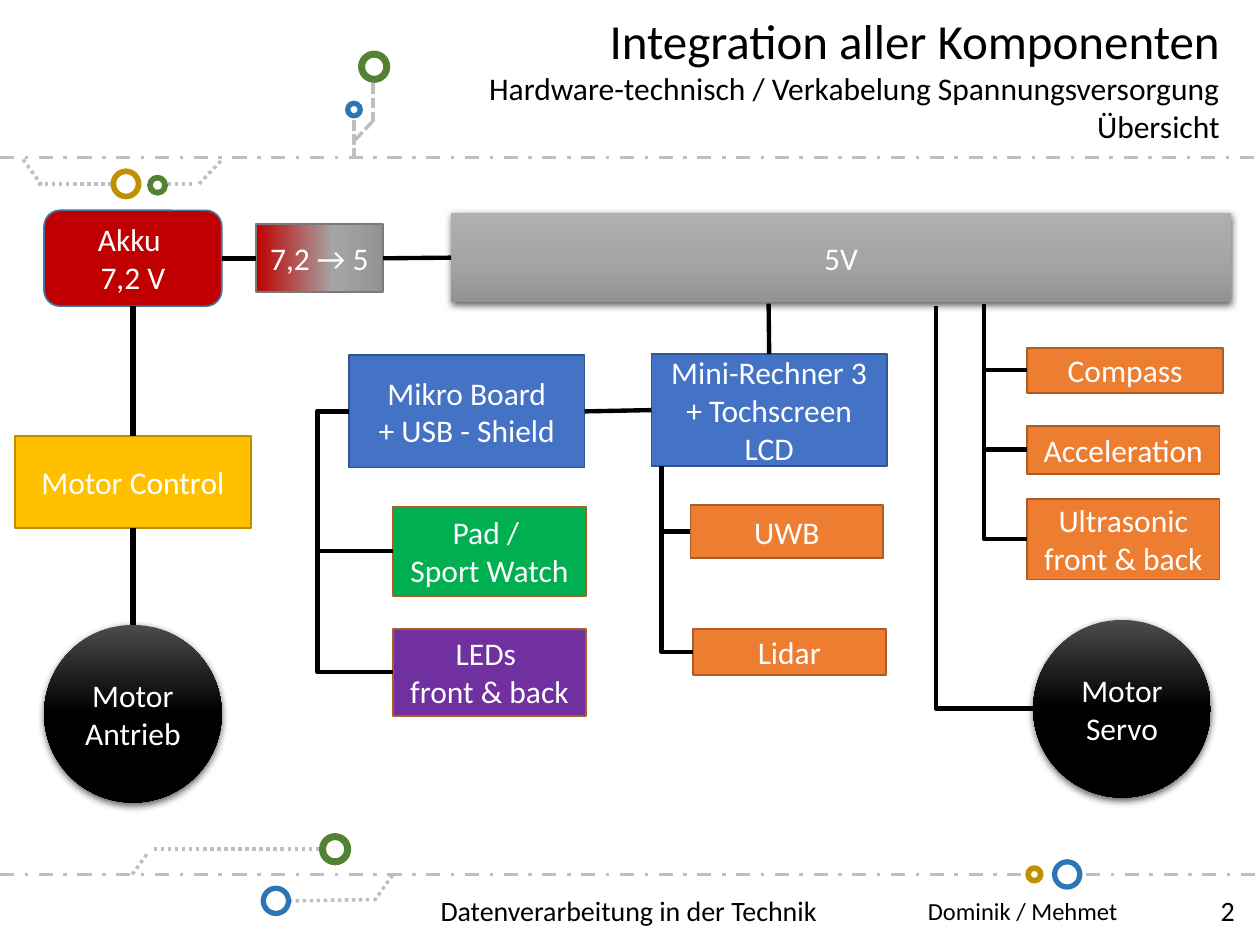
from typing import NamedTuple

from pptx import Presentation
from pptx.dml.color import RGBColor
from pptx.enum.dml import MSO_LINE
from pptx.enum.shapes import MSO_CONNECTOR, MSO_SHAPE
from pptx.enum.text import MSO_ANCHOR, MSO_AUTO_SIZE, PP_ALIGN
from pptx.oxml.ns import qn
from pptx.util import Inches, Pt
from lxml import etree

RECT, ROUND, OVAL = MSO_SHAPE.RECTANGLE, MSO_SHAPE.ROUNDED_RECTANGLE, MSO_SHAPE.OVAL
STRAIGHT, ELBOW = MSO_CONNECTOR.STRAIGHT, MSO_CONNECTOR.ELBOW
DASHDOT, DOT, DASH = MSO_LINE.DASH_DOT, MSO_LINE.ROUND_DOT, MSO_LINE.SQUARE_DOT
LEFT, CENTER, RIGHT = PP_ALIGN.LEFT, PP_ALIGN.CENTER, PP_ALIGN.RIGHT
MIDDLE = MSO_ANCHOR.MIDDLE
TOP_SIDE, LEFT_SIDE, BOTTOM_SIDE, RIGHT_SIDE = range(4)

FONT = "Calibri"
HEX = {
    "black": "000000", "white": "FFFFFF", "trace": "BFBFBF",
    "ring blue": "2E75B6", "ring gold": "BF9000", "ring green": "548235",
    "blue": "4472C4", "blue edge": "325491",
    "gold": "FFC000", "gold edge": "BD8E00",
    "orange": "ED7D31", "orange edge": "AF5C24",
    "purple": "7030A0", "green": "00B050",
    "red": "C00000", "red edge": "43739E",
    "gray": "A5A5A5", "light gray": "AFAFAF", "dark gray": "939393",
    "gray edge": "7A7A7A", "coal": "4B4B4B",
}
# Gradient stops (percent, colour) and angle, counter-clockwise
GRADS = {
    "rail": ([(0, "light gray"), (50, "gray"), (100, "dark gray")], 270),
    "motor": ([(0, "coal"), (50, "black"), (100, "black")], 270),
    "step": ([(0, "red"), (61, "gray"), (100, "dark gray")], 0),
}


class Box(NamedTuple):
    x: float
    y: float
    w: float
    h: float
    lines: list[str]
    fill: str
    edge: str = ""  # a box without an edge casts a shadow
    form: int = RECT


class Trace(NamedTuple):
    x1: float
    y1: float
    x2: float
    y2: float
    dash: int = DOT


class Ring(NamedTuple):
    x: float
    y: float
    size: float
    color: str
    width: float


TRACES = [
    Trace(0, 1.25, 10, 1.25, DASHDOT), Trace(0, 6.94, 8.16, 6.94, DASHDOT),
    Trace(8.62, 6.94, 9.98, 6.94, DASHDOT),
    Trace(1.22, 6.74, 2.57, 6.74), Trace(1.05, 6.94, 1.18, 6.76),
    Trace(2.97, 7.15, 3.12, 6.94), Trace(2.29, 7.15, 2.93, 7.14),
    Trace(1.58, 1.46, 1.77, 1.26), Trace(1.33, 1.46, 1.55, 1.46),
    Trace(0.3, 1.46, 0.91, 1.46), Trace(0.33, 1.47, 0.18, 1.26),
    Trace(2.81, 1.26, 2.81, 0.9, DASH), Trace(2.82, 1.11, 2.96, 0.96, DASH),
    Trace(2.96, 0.97, 2.96, 0.64, DASH),
]
RINGS = [
    Ring(8.37, 6.84, 0.2, "ring blue", 3), Ring(8.16, 6.89, 0.1, "ring gold", 3.25),
    Ring(2.56, 6.64, 0.2, "ring green", 4), Ring(2.09, 7.05, 0.2, "ring blue", 3),
    Ring(1.19, 1.41, 0.12, "ring green", 3.25), Ring(0.9, 1.36, 0.2, "ring gold", 3.25),
    Ring(2.76, 0.82, 0.1, "ring blue", 3), Ring(2.87, 0.43, 0.2, "ring green", 4),
]
BOXES = {
    "host": Box(5.17, 2.81, 1.87, 0.89, ["Mini-Rechner 3", "+ Tochscreen LCD"], "blue", "blue edge"),
    "board": Box(2.77, 2.82, 1.87, 0.89, ["Mikro Board", "+ USB - Shield"], "blue", "blue edge"),
    "control": Box(0.12, 3.46, 1.87, 0.73, ["Motor Control"], "gold", "gold edge"),
    "compass": Box(8.15, 2.76, 1.56, 0.36, ["Compass"], "orange", "orange edge"),
    "sonic": Box(8.15, 3.96, 1.53, 0.64, ["Ultrasonic front & back"], "orange", "orange edge"),
    "uwb": Box(5.48, 4.01, 1.53, 0.42, ["UWB"], "orange", "orange edge"),
    "leds": Box(3.12, 4.99, 1.53, 0.69, ["LEDs ", "front & back"], "purple", "orange edge"),
    "pad": Box(3.12, 4.02, 1.53, 0.71, ["Pad / ", "Sport Watch"], "green", "orange edge"),
    "lidar": Box(5.5, 4.99, 1.53, 0.37, ["Lidar"], "orange", "orange edge"),
    "rail": Box(3.58, 1.69, 6.19, 0.71, ["5V"], "rail"),
    "drive": Box(0.35, 4.96, 1.41, 1.41, ["Motor Antrieb"], "motor", form=OVAL),
    "servo": Box(8.2, 4.92, 1.41, 1.41, ["Motor Servo"], "motor", form=OVAL),
    "accel": Box(8.15, 3.38, 1.53, 0.38, ["Acceleration"], "orange", "orange edge"),
    "akku": Box(0.35, 1.67, 1.41, 0.76, ["Akku ", "7,2 V"], "red", "red edge", ROUND),
    "step": Box(2.03, 1.78, 1.01, 0.54, ["7,2 → 5"], "step", "gray edge"),
}
# Boxes hung on a trunk: trunk x, its upper end, names
TRUNKS = [
    (5.25, 3.7, ["uwb", "lidar"]),
    (7.81, 2.41, ["compass", "accel", "sonic"]),
    (7.43, 2.43, ["servo"]),
]
# Straight wires: box, side, box, side, width
WIRES = [
    ("drive", TOP_SIDE, "control", BOTTOM_SIDE, 3),
    ("control", TOP_SIDE, "akku", BOTTOM_SIDE, 3),
    ("step", LEFT_SIDE, "akku", RIGHT_SIDE, 3),
    ("step", RIGHT_SIDE, "rail", LEFT_SIDE, 2.5),
    ("host", LEFT_SIDE, "board", RIGHT_SIDE, 2.5),
]
FOOTERS = [(8.87, "Dominik / Mehmet", 14, RIGHT), (9.8, "2", 16, RIGHT),
           (9.98, "Datenverarbeitung in der Technik", 16, CENTER)]


def rgb(name: str) -> RGBColor:
    return RGBColor.from_string(HEX[name])


def write(frame, lines: list[tuple[str, float]], align: int, color: str) -> None:
    frame.word_wrap = True
    frame.auto_size = MSO_AUTO_SIZE.NONE
    frame.vertical_anchor = MIDDLE
    for i, (text, size) in enumerate(lines):
        para = frame.add_paragraph() if i else frame.paragraphs[0]
        para.alignment = align
        run = para.add_run()
        run.text = text
        run.font.name, run.font.size = FONT, Pt(size)
        run.font.color.rgb = rgb(color)


def clear_insets(frame) -> None:
    frame.margin_left = frame.margin_right = frame.margin_top = frame.margin_bottom = 0


def tint(parent, color: str):
    return etree.SubElement(parent, qn("a:srgbClr"), val=HEX[color])


def blend(shape, stops: list[tuple[int, str]], angle: int) -> None:
    """Fill with a linear gradient of any number of stops."""
    shape.fill.gradient()
    shape.fill.gradient_angle = angle
    group = shape._element.spPr.find(".//" + qn("a:gsLst"))
    for old in list(group):
        group.remove(old)
    for share, color in stops:
        tint(etree.SubElement(group, qn("a:gs"), pos=str(share * 1000)), color)


def cast_shadow(shape) -> None:
    effects = shape._element.spPr.find(qn("a:effectLst"))
    outer = etree.SubElement(effects, qn("a:outerShdw"), blurRad=str(Pt(4.5)),
                             dist=str(Pt(1.5)), dir="5400000", rotWithShape="0")
    etree.SubElement(tint(outer, "black"), qn("a:alpha"), val="63000")


def draw_box(shapes, box: Box):
    shape = shapes.add_shape(box.form, *map(Inches, box[:4]))
    shape.shadow.inherit = False
    if box.fill in GRADS:
        blend(shape, *GRADS[box.fill])
    else:
        shape.fill.solid()
        shape.fill.fore_color.rgb = rgb(box.fill)
    if box.edge:
        shape.line.color.rgb, shape.line.width = rgb(box.edge), Pt(1)
    else:
        shape.line.fill.background()
        cast_shadow(shape)
    write(shape.text_frame, [(line, 18) for line in box.lines], CENTER, "white")
    return shape


def draw_ring(shapes, ring: Ring) -> None:
    shape = shapes.add_shape(OVAL, *map(Inches, (ring.x, ring.y, ring.size, ring.size)))
    shape.shadow.inherit = False
    shape.fill.background()
    shape.line.color.rgb, shape.line.width = rgb(ring.color), Pt(ring.width)


def draw_line(shapes, ends: tuple, width: float = 2.5, color: str = "black", kind: int = STRAIGHT):
    line = shapes.add_connector(kind, *map(Inches, ends))
    line.line.color.rgb, line.line.width = rgb(color), Pt(width)
    etree.SubElement(line._element.spPr, qn("a:effectLst"))
    return line


def draw_branch(shapes, box: Box, x: float, y: float) -> None:
    """Run from the left side of a box to a trunk at x, then up to y."""
    line = draw_line(shapes, (box.x, box.y + box.h / 2, x, y), kind=ELBOW)
    line._element.spPr.find(qn("a:prstGeom")).set("prst", "bentConnector2")


def draw_loop(shapes, start: Box, end: Box, x: float) -> None:
    """Join the left sides of two boxes by way of a trunk at x."""
    ends = (start.x, start.y + start.h / 2, end.x, end.y + end.h / 2)
    line = draw_line(shapes, ends, kind=ELBOW)
    bend = round((x - start.x) / (end.x - start.x) * 100000)
    guides = line._element.spPr.find(qn("a:prstGeom")).get_or_add_avLst()
    etree.SubElement(guides, qn("a:gd"), name="adj1", fmla=f"val {bend}")


def main() -> None:
    deck = Presentation()
    deck.slide_width, deck.slide_height = Inches(10), Inches(7.5)
    slide = deck.slides.add_slide(deck.slide_layouts[5])
    shapes = slide.shapes

    for trace in TRACES:
        draw_line(shapes, trace[:4], 2, "trace").line.dash_style = trace.dash
    for ring in RINGS:
        draw_ring(shapes, ring)

    title = shapes.title
    title.left, title.top, title.width, title.height = map(Inches, (3.19, 0.14, 6.49, 0.95))
    clear_insets(title.text_frame)
    write(title.text_frame, [
        ("Integration aller Komponenten", 28),
        ("Hardware-technisch / Verkabelung Spannungsversorgung Übersicht", 18),
    ], RIGHT, "black")
    for width, text, size, align in FOOTERS:
        frame = shapes.add_textbox(0, Inches(6.95), Inches(width), Inches(0.55)).text_frame
        clear_insets(frame)
        write(frame, [(text, size)], align, "black")

    drawn = {name: draw_box(shapes, box) for name, box in BOXES.items()}
    for start, side, end, far, width in WIRES:
        wire = draw_line(shapes, (0, 0, 1, 1), width)
        wire.begin_connect(drawn[start], side)
        wire.end_connect(drawn[end], far)
    feed = draw_line(shapes, (6.1, 2.41, 6.1, 2.81))
    feed.end_connect(drawn["host"], TOP_SIDE)
    for name in ("pad", "leds"):
        draw_loop(shapes, BOXES["board"], BOXES[name], 2.52)
    for x, y, names in TRUNKS:
        for name in names:
            draw_branch(shapes, BOXES[name], x, y)

    deck.save("out.pptx")


if __name__ == "__main__":
    main()
